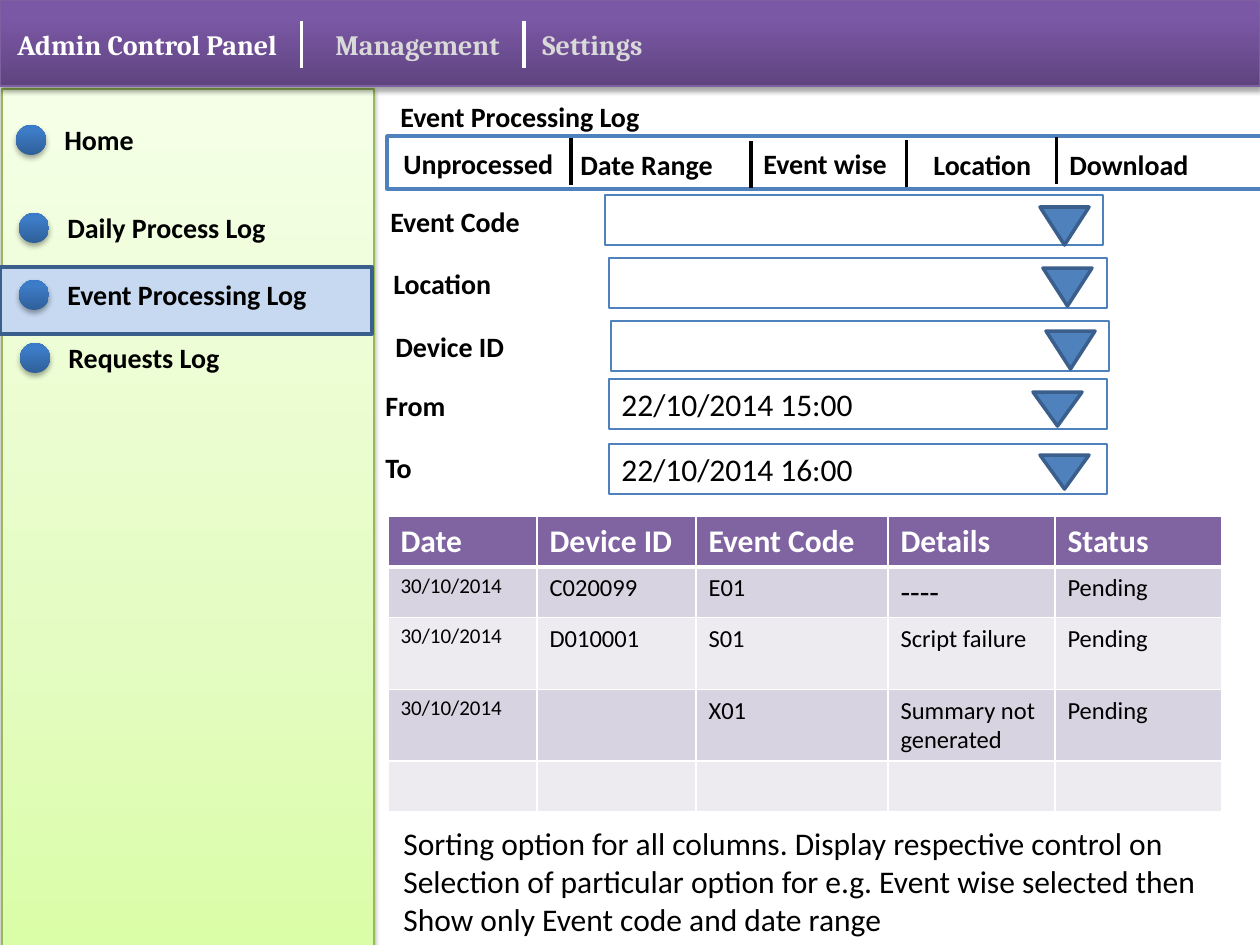
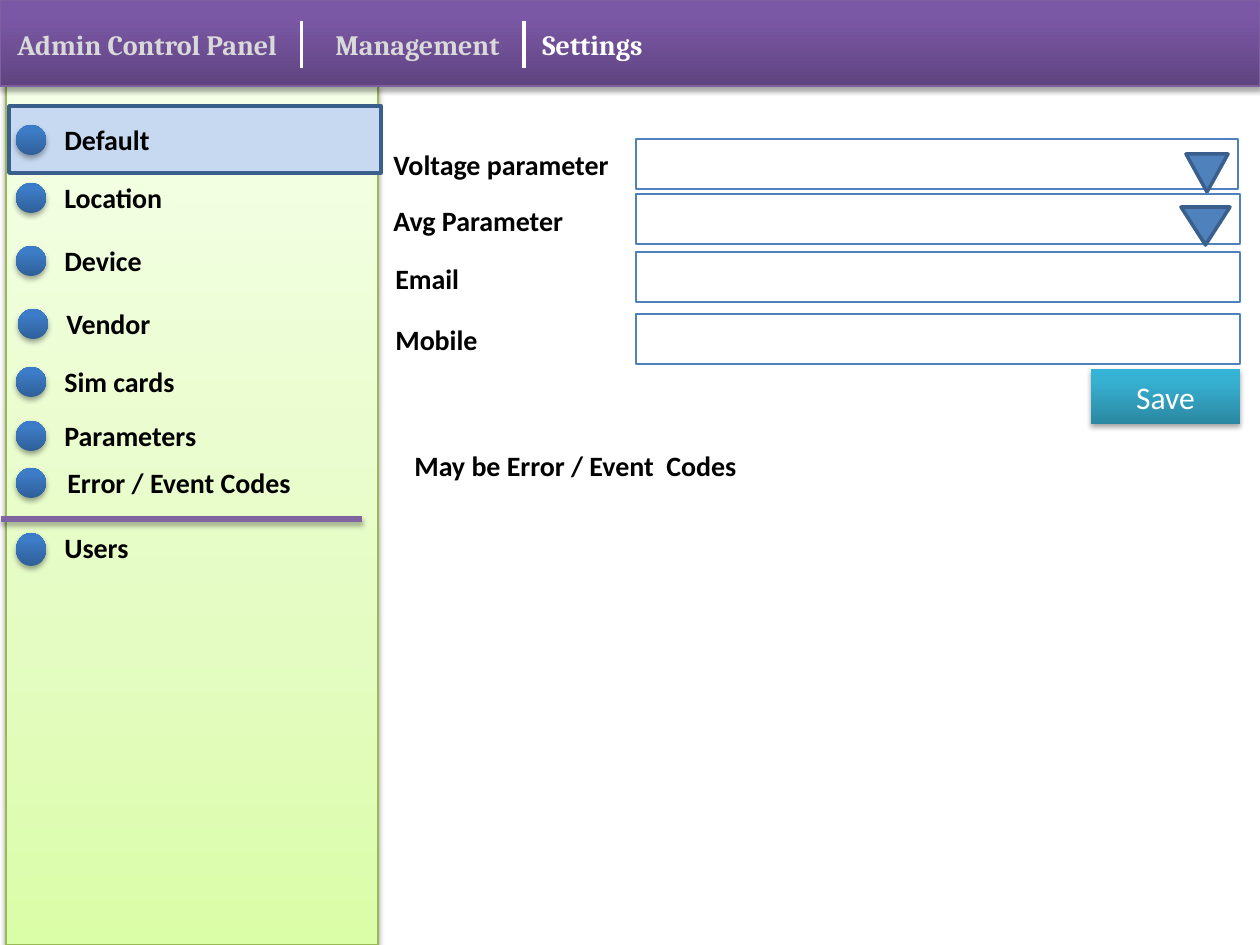
from lxml import etree
from pptx import Presentation
from pptx.dml.color import RGBColor
from pptx.enum import shapes, text
from pptx.oxml import ns
from pptx.util import Emu, Pt

SCALE = 914400 / 126  # EMU in one pixel
FONT, SERIF = "Calibri", "Cambria"
KIND = shapes.MSO_SHAPE

HUES = {
    "white": "FFFFFF", "black": "000000", "dim": "D9D9D9",
    "blue": "4F81BD", "navy": "3A5F8C", "pale": "C6D9F1",
    "purple": "8064A2", "edge": "7D60A0", "lime": "98B955",
    "band": "D8D3E0", "light": "EDEAF0",
}
# Gradient stops, bottom to top
FADES = {
    "header": [(0, "5F4480"), (80, "7B58A6"), (100, "7C57A8")],
    "side": [(0, "DAFDA7"), (35, "E4FCC2"), (100, "F5FFE7")],
    "dot": [(0, "2F5F99"), (80, "3D7CC7"), (100, "3A7CCB")],
    "save": [(0, "2A88A2"), (80, "37B1D2"), (100, "34B4D6")],
}


def px(n):
    """Turn pixels into EMU."""
    return Emu(round(n * SCALE))


def hue(name):
    """Look up a colour."""
    return RGBColor.from_string(HUES[name])


def node(top, tag, **attrs):
    """Add an XML child and return it."""
    return etree.SubElement(top, ns.qn(tag), attrs)


def fade(shape, stops):
    """Fill a shape with an upward gradient."""
    shape.fill.background()
    old = shape._element.spPr.find(ns.qn("a:noFill"))
    grad = etree.Element(ns.qn("a:gradFill"), rotWithShape="1")
    row = node(grad, "a:gsLst")
    for pos, code in stops:
        stop = node(row, "a:gs", pos=str(pos * 1000))
        node(stop, "a:srgbClr", val=code)
    node(grad, "a:lin", ang="16200000", scaled="0")
    old.getparent().replace(old, grad)


def shade(shape, drop=1.8, alpha=35):
    """Give a shape or line a soft shadow below it; no drop means none."""
    props = shape._element.spPr
    for old in props.findall(ns.qn("a:effectLst")):
        props.remove(old)
    fx = node(props, "a:effectLst")
    if drop:
        cast = node(fx, "a:outerShdw", blurRad=str(Pt(3.1)), dist=str(Pt(drop)),
                    dir="5400000", rotWithShape="0")
        tint = node(cast, "a:srgbClr", val=HUES["black"])
        node(tint, "a:alpha", val=str(alpha * 1000))


def form(slide, kind, x, y, w, h, fill=None, line=None, width=0.75):
    """Draw a preset shape with a plain, gradient or empty fill."""
    shape = slide.shapes.add_shape(kind, px(x), px(y), px(w), px(h))
    shape.shadow.inherit = False
    if fill in FADES:
        fade(shape, FADES[fill])
    elif fill:
        shape.fill.solid()
        shape.fill.fore_color.rgb = hue(fill)
    else:
        shape.fill.background()
    if line:
        shape.line.color.rgb = hue(line)
        shape.line.width = Pt(width)
    else:
        shape.line.fill.background()
    return shape


def write(frame, words, size=16, bold=True, color="black", font=FONT,
          align=text.PP_ALIGN.LEFT):
    """Write one paragraph for each line of words."""
    for i, part in enumerate(words.split("\n")):
        para = frame.add_paragraph() if i else frame.paragraphs[0]
        para.text = part
        para.alignment = align
        para.font.size = Pt(size)
        para.font.bold = bold
        para.font.name = font
        para.font.color.rgb = hue(color)


def label(slide, words, x, y, w, h=47, wrap=True, **style):
    """Place a text box."""
    frame = slide.shapes.add_textbox(px(x), px(y), px(w), px(h)).text_frame
    frame.word_wrap = wrap
    frame.auto_size = text.MSO_AUTO_SIZE.SHAPE_TO_FIT_TEXT
    write(frame, words, **style)


def rule(slide, x1, y1, x2, y2, color, width=1.75):
    """Draw a straight line."""
    line = slide.shapes.add_connector(
        shapes.MSO_CONNECTOR.STRAIGHT, px(x1), px(y1), px(x2), px(y2))
    line.line.color.rgb = hue(color)
    line.line.width = Pt(width)
    shade(line, 0)
    return line


def frame(slide, now, side, mark):
    """Draw the side panel, its marked entry and the header menu."""
    panel = form(slide, KIND.RECTANGLE, *side, 372, 859, "side", "lime")
    shade(panel, 1.6, 38)
    form(slide, KIND.RECTANGLE, *mark, 372, 67, "pale", "navy", 2)
    shade(form(slide, KIND.RECTANGLE, 0, 0, 1260, 86, "header", "edge"))
    menu = [("Admin Control Panel", 5, 318), ("Management", 323, 198),
            ("Settings", 530, 198)]
    for words, x, w in menu:
        label(slide, words, x, 21, w, font=SERIF,
              color="white" if words == now else "dim")
    for x in (302, 524):
        rule(slide, x, 21, x, 68, "white")


def entry(slide, words, x, y, gap=36, h=30):
    """Draw a side menu entry: a dot and its label."""
    shade(form(slide, KIND.OVAL, x, y, 30, h, "dot"))
    label(slide, words, x + gap, y - 9, 307, h + 17)


def field(slide, words, at, box, arrow=None, value=""):
    """Draw a form row: label, input box and optional drop-down arrow."""
    label(slide, words, *at, 249)
    entry_box = form(slide, KIND.RECTANGLE, *box, 50, line="blue")
    if value:
        inner = entry_box.text_frame
        inner.vertical_anchor = text.MSO_ANCHOR.TOP
        write(inner, value, size=18, bold=False)
    if arrow:
        tip = form(slide, KIND.ISOSCELES_TRIANGLE, *arrow, "blue", "navy", 2)
        tip.rotation = 180


def border(cell, top):
    """Draw white cell edges, with a thick one under the top row."""
    props = cell._tc.get_or_add_tcPr()
    thick = {"L": 1, "R": 1, "T": 1, "B": 1}
    if top < 2:
        thick["TB"[top == 0]] = 3
    for side, width in thick.items():
        line = node(props, "a:ln" + side, w=str(Pt(width)))
        node(node(line, "a:solidFill"), "a:srgbClr", val=HUES["white"])


def grid(slide, x, y, cols, rows, data):
    """Draw the log table."""
    table = slide.shapes.add_table(len(rows), len(cols), px(x), px(y),
                                   px(sum(cols)), px(sum(rows))).table
    for col, w in zip(table.columns, cols):
        col.width = px(w)
    for r, (row, h) in enumerate(zip(table.rows, rows)):
        row.height = px(h)
        for c, (cell, words) in enumerate(zip(row.cells, data[r])):
            border(cell, r)
            cell.fill.solid()
            cell.fill.fore_color.rgb = hue(
                "purple" if r == 0 else "band" if r % 2 else "light")
            big = r == 0 or words in ("", "----")
            write(cell.text_frame, words,
                  size=18 if big else 12 if c == 0 else 14,
                  bold=r == 0, color="black" if r else "white")


def log(slide):
    """Build the event log page."""
    frame(slide, "Admin Control Panel", (2, 89), (0, 267))
    for words, x, y in [("Home", 16, 125), ("Daily Process Log", 19, 213),
                        ("Event Processing Log", 19, 280),
                        ("Requests Log", 20, 343)]:
        entry(slide, words, x, y)

    label(slide, "Event Processing Log", 388, 93, 490)
    form(slide, KIND.RECTANGLE, 387, 136, 876, 53, "white", "blue", 2)
    for words, x, y, w in [("Unprocessed", 391, 140, 180),
                           ("Date Range", 568, 141, 200),
                           ("Event wise", 751, 140, 156),
                           ("Location", 921, 141, 156),
                           ("Download", 1057, 141, 156)]:
        label(slide, words, x, y, w)
    for x, y in [(571, 138), (751, 141), (907, 140), (1057, 137)]:
        rule(slide, x, y, x, y + 47, "black")

    field(slide, "Event Code", (378, 198), (605, 195, 498), (1040, 207, 49, 38))
    field(slide, "Location", (381, 260), (609, 258, 498), (1043, 268, 49, 38))
    field(slide, "Device ID", (383, 323), (611, 321, 498), (1046, 331, 49, 38))
    field(slide, "From", (373, 382), (609, 379, 498), (1033, 392, 49, 34),
          "22/10/2014 15:00")
    field(slide, "To", (373, 444), (609, 444, 498), (1040, 455, 49, 34),
          "22/10/2014 16:00")

    day, wait = "30/10/2014", "Pending"
    grid(slide, 388, 516, [149, 159, 192, 167, 167], [51, 50, 72, 71, 51], [
        ["Date", "Device ID", "Event Code", "Details", "Status"],
        [day, "C020099", "E01", "----", wait],
        [day, "D010001", "S01", "Script failure", wait],
        [day, "", "X01", "Summary not generated", wait],
        [""] * 5,
    ])
    label(slide, "Sorting option for all columns. Display respective control on\n"
          "Selection of particular option for e.g. Event wise selected then\n"
          "Show only Event code and date range",
          391, 818, 835, 127, wrap=False, size=18, bold=False)


def setup(slide):
    """Build the settings page."""
    frame(slide, "Settings", (6, 86), (9, 106))
    for words, x, y in [("Default", 16, 125), ("Location", 16, 183),
                        ("Device", 16, 246), ("Vendor", 18, 309),
                        ("Sim cards", 16, 367), ("Parameters", 16, 421)]:
        entry(slide, words, x, y)
    entry(slide, "Error / Event Codes", 16, 468, gap=39)
    entry(slide, "Users", 16, 533, h=33)
    shade(rule(slide, 1, 519, 362, 519, "purple", 3))

    field(slide, "Voltage parameter", (381, 141), (636, 139, 602),
          (1186, 154, 42, 38))
    field(slide, "Avg Parameter", (381, 197), (636, 194, 604),
          (1181, 207, 49, 38))
    field(slide, "Email", (383, 255), (636, 252, 604))
    field(slide, "Mobile", (383, 316), (636, 314, 604))

    save = form(slide, KIND.RECTANGLE, 1091, 369, 149, 55, "save")
    shade(save)
    save.text_frame.vertical_anchor = text.MSO_ANCHOR.MIDDLE
    write(save.text_frame, "Save", size=18, bold=False, color="white",
          align=text.PP_ALIGN.CENTER)
    label(slide, "May be Error / Event  Codes", 402, 442, 367)


def main():
    """Build and save the deck."""
    deck = Presentation()
    deck.slide_width, deck.slide_height = px(1260), px(945)
    for build in (log, setup):
        build(deck.slides.add_slide(deck.slide_layouts[6]))
    deck.save("out.pptx")


main()
